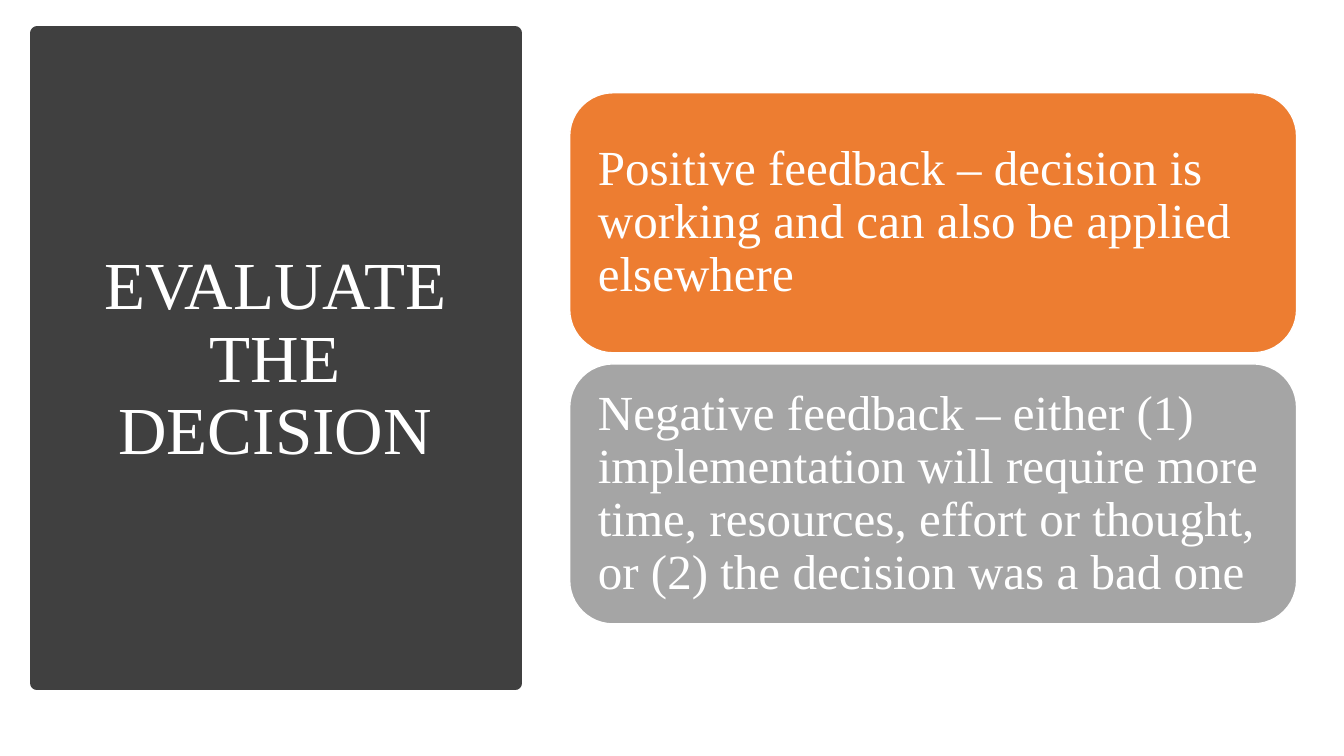
from pptx import Presentation
from pptx.dml.color import RGBColor
from pptx.enum.shapes import MSO_SHAPE as SHAPE
from pptx.enum.text import MSO_ANCHOR as ANCHOR, PP_ALIGN as ALIGN
from pptx.util import Inches, Pt

WHITE = RGBColor(0xFF, 0xFF, 0xFF)
CHARCOAL = RGBColor(0x40, 0x40, 0x40)
ORANGE = RGBColor(0xED, 0x7D, 0x31)
GRAY = RGBColor(0xA5, 0xA5, 0xA5)


class SlideBuilder:
    font = "Times New Roman"
    color = WHITE
    line_spacing = 0.9

    def __init__(self, slide):
        self.s = slide

    def panel(self, kind, box, fill, line, line_width):
        sp = self.s.shapes.add_shape(kind, *map(Inches, box))
        sp.shadow.inherit = False
        sp.fill.solid()
        sp.fill.fore_color.rgb = fill
        sp.line.color.rgb = line
        sp.line.width = Pt(line_width)

    def text(self, box, text, size, align, inset_x, inset_y):
        tf = self.s.shapes.add_textbox(*map(Inches, box)).text_frame
        tf.word_wrap = True
        tf.vertical_anchor = ANCHOR.MIDDLE
        tf.margin_left = tf.margin_right = Inches(inset_x)
        tf.margin_top = tf.margin_bottom = Inches(inset_y)
        p = tf.paragraphs[0]
        p.text = text
        p.alignment = align
        p.line_spacing = self.line_spacing
        r = p.runs[0]
        r.font.name = self.font
        r.font.size = Pt(size)
        r.font.color.rgb = self.color

    def card(self, left, top, width, height, fill, text):
        pad = 0.13
        self.panel(SHAPE.ROUNDED_RECTANGLE, (left, top, width, height),
                   fill, WHITE, 1)
        inner = (left + pad, top + pad, width - 2 * pad, height - 2 * pad)
        self.text(inner, text, 35, ALIGN.LEFT, 0.15, 0.15)


def main():
    prs = Presentation()
    prs.slide_width, prs.slide_height = Inches(13.33), Inches(7.5)
    slide = SlideBuilder(prs.slides.add_slide(prs.slide_layouts[6]))

    # Title panel
    slide.panel(SHAPE.RECTANGLE, (0.37, 0.33, 4.74, 6.45),
                CHARCOAL, CHARCOAL, 10)
    slide.text((0.65, 0.7, 4.16, 5.75), "EVALUATE THE DECISION",
               48, ALIGN.CENTER, 0.1, 0.05)

    # Feedback cards
    cards = [
        (ORANGE, "Positive feedback – decision is working and can also be "
                 "applied elsewhere"),
        (GRAY, "Negative feedback – either (1) implementation will require "
               "more time, resources, effort or thought, or (2) the decision "
               "was a bad one"),
    ]
    height, gap = 2.58, 0.11
    for i, (fill, text) in enumerate(cards):
        slide.card(5.65, 0.92 + i * (height + gap), 7.21, height, fill, text)

    prs.save("out.pptx")


if __name__ == "__main__":
    main()
